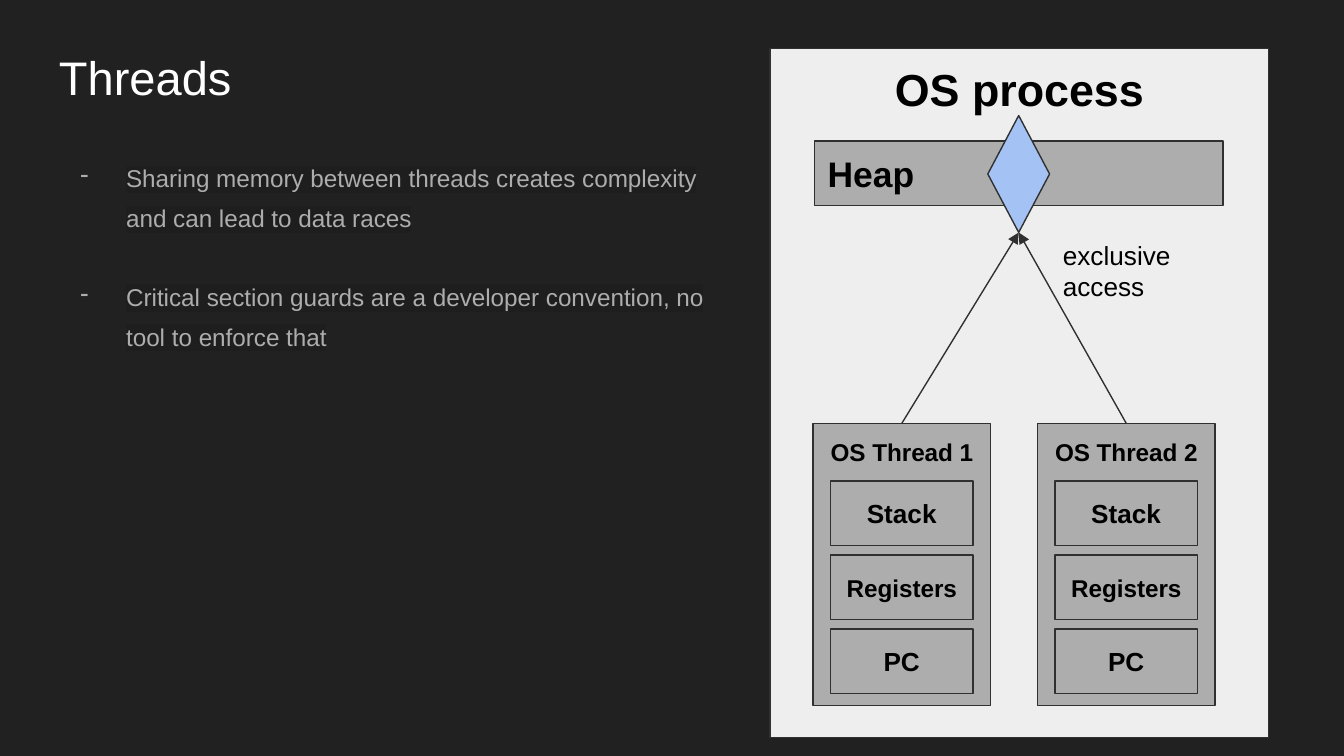
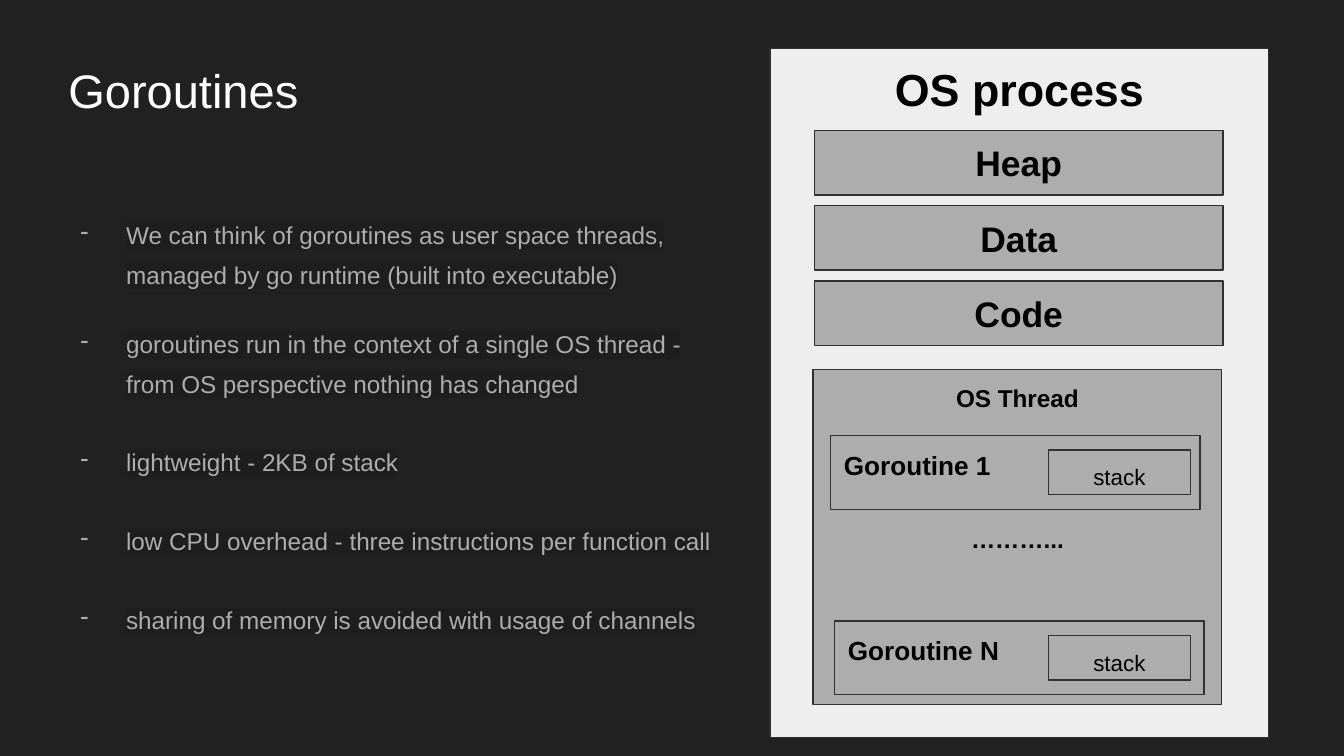
from dataclasses import dataclass

from lxml.etree import SubElement
from pptx import Presentation
from pptx.dml.color import RGBColor
from pptx.enum.shapes import MSO_CONNECTOR, MSO_SHAPE
from pptx.enum.text import MSO_ANCHOR, PP_ALIGN
from pptx.oxml.ns import qn
from pptx.util import Inches, Pt

COLORS = {
    "background": "212121",
    "panel": "EEEEEE",
    "block": "ADADAD",
    "outline": "303030",
    "guard": "A4C2F4",
    "title": "FFFFFF",
    "body": "ADADAD",
    "highlight": "1E1E1E",
    "label": "000000",
}
FONT = "Arial"
SLIDE_WIDTH, SLIDE_HEIGHT = Inches(10), Inches(5.625)
UNIT = SLIDE_WIDTH / 100
LINE_SPACING = 1.36
BULLET_INDENT, BULLET_HANG = Inches(0.5), Inches(0.34)


@dataclass
class Box:
    """A rectangle in grid units, a hundred columns to the slide."""

    left: float
    top: float
    width: float
    height: float

    def within(self, left, top, width, height):
        """Return a box placed relative to this one."""
        return Box(self.left + left, self.top + top, width, height)

    def emu(self):
        """Return the left, top, width and height for python-pptx."""
        return [round(n * UNIT) for n in (self.left, self.top, self.width, self.height)]


PANEL = Box(57.3, 3.6, 37.1, 51.3)


def rgb(name):
    """Look up a colour of the deck."""
    return RGBColor.from_string(COLORS[name])


def style(paragraph, size, color, bold=False):
    """Format every run of a paragraph."""
    for run in paragraph.runs:
        run.font.size = Pt(size)
        run.font.bold = bold
        run.font.color.rgb = rgb(color)
        run.font.name = FONT


def prepare_frame(frame, anchor=MSO_ANCHOR.TOP):
    """Give a text frame the shared insets and wrapping."""
    frame.word_wrap = True
    frame.vertical_anchor = anchor
    frame.margin_left = frame.margin_right = Inches(0.1)
    frame.margin_top = frame.margin_bottom = Inches(0.1)


def add_block(slide, box, text="", size=14, fill="block", align=PP_ALIGN.CENTER,
              anchor=MSO_ANCHOR.TOP, bold=True, kind=MSO_SHAPE.RECTANGLE):
    """Draw an outlined block with its label."""
    block = slide.shapes.add_shape(kind, *box.emu())
    block.shadow.inherit = False
    block.fill.solid()
    block.fill.fore_color.rgb = rgb(fill)
    block.line.color.rgb = rgb("outline")
    block.line.width = Pt(0.75)
    prepare_frame(block.text_frame, anchor)
    block.text_frame.text = text
    for paragraph in block.text_frame.paragraphs:
        paragraph.alignment = align
        style(paragraph, size, "label", bold)
    return block


def add_caption(slide, box, text, size, color):
    """Write a line of plain text."""
    frame = slide.shapes.add_textbox(*box.emu()).text_frame
    prepare_frame(frame)
    frame.text = text
    style(frame.paragraphs[0], size, color)


def add_points(slide, box, points):
    """Write dashed points, each given as its text and the space before it."""
    frame = slide.shapes.add_textbox(*box.emu()).text_frame
    prepare_frame(frame)
    frame.text = "\n".join(text for text, _ in points)
    for paragraph, (_, gap) in zip(frame.paragraphs, points):
        paragraph.line_spacing = LINE_SPACING
        paragraph.space_before = Pt(gap)
        style(paragraph, 13, "body")
        properties = paragraph._p.get_or_add_pPr()
        properties.set("marL", str(BULLET_INDENT))
        properties.set("indent", str(-BULLET_HANG))
        bullet_color = SubElement(properties, qn("a:buClr"))
        SubElement(bullet_color, qn("a:srgbClr"), val=COLORS["body"])
        SubElement(properties, qn("a:buChar"), char="-")
        for run in paragraph.runs:
            highlight = run._r.get_or_add_rPr().makeelement(qn("a:highlight"))
            SubElement(highlight, qn("a:srgbClr"), val=COLORS["highlight"])
            run._r.rPr.find(qn("a:solidFill")).addnext(highlight)


def add_arrow(slide, thread, guard):
    """Point an arrow from the top of a thread to the foot of the guard."""
    arrow = slide.shapes.add_connector(MSO_CONNECTOR.STRAIGHT, 0, 0, 0, 0)
    arrow.begin_connect(thread, 0)
    arrow.end_connect(guard, 2)
    arrow.line.color.rgb = rgb("outline")
    arrow.line.width = Pt(0.75)
    SubElement(arrow.line._get_or_add_ln(), qn("a:tailEnd"), type="triangle")
    SubElement(arrow._element.spPr, qn("a:effectLst"))


def add_thread(slide, box, title):
    """Draw a thread with its stack, registers and program counter."""
    thread = add_block(slide, box, title, 13)
    for row, (text, size) in enumerate([("Stack", 14), ("Registers", 13), ("PC", 14)]):
        add_block(slide, box.within(1.3, 4.3 + 5.5 * row, 10.6, 4.8), text, size,
                  anchor=MSO_ANCHOR.MIDDLE)
    return thread


def add_goroutine(slide, box, title, stack_left):
    """Draw a goroutine with its own stack."""
    add_block(slide, box, title, align=PP_ALIGN.LEFT)
    add_block(slide, box.within(stack_left, 1.1, 10.6, 3.3), "stack", 12, bold=False)


def add_shared_memory(slide, box):
    """Fill the process panel with two threads reaching for the same memory."""
    add_block(slide, box.within(3.3, 6.9, 30.4, 4.8), "Heap", 19,
              align=PP_ALIGN.LEFT, anchor=MSO_ANCHOR.MIDDLE)
    threads = [add_thread(slide, box.within(3.2 + 16.7 * i, 27.9, 13.2, 21), f"OS Thread {i + 1}")
               for i in range(2)]
    guard = add_block(slide, box.within(16.2, 5, 4.6, 8.7), fill="guard", kind=MSO_SHAPE.DIAMOND)
    for thread in threads:
        add_arrow(slide, thread, guard)
    add_caption(slide, box.within(20.8, 13.2, 10.1, 6.7), "exclusive access", 14, "label")


def add_goroutine_memory(slide, box):
    """Fill the process panel with memory areas and one thread of goroutines."""
    for row, text in enumerate(["Heap", "Data", "Code"]):
        add_block(slide, box.within(3.3, 6.1 + 5.6 * row, 30.4, 4.8), text, 19,
                  anchor=MSO_ANCHOR.MIDDLE)
    thread_box = box.within(3.2, 23.9, 30.4, 24.9)
    thread = add_block(slide, thread_box, "OS Thread\n………...", 13)
    thread.text_frame.paragraphs[1].space_before = Pt(60)
    add_goroutine(slide, thread_box.within(1.3, 4.9, 27.5, 5.5), "Goroutine 1", 16.2)
    add_goroutine(slide, thread_box.within(1.6, 18.7, 27.5, 5.5), "Goroutine N", 15.9)


def add_process_slide(deck, title, title_box, points, points_box, add_content):
    """Add a slide with points on the left and an OS process on the right."""
    slide = deck.slides.add_slide(deck.slide_layouts[6])
    slide.background.fill.solid()
    slide.background.fill.fore_color.rgb = rgb("background")
    add_block(slide, PANEL, "OS process", 24, fill="panel")
    add_caption(slide, title_box, title, 25.2, "title")
    add_points(slide, points_box, points)
    add_content(slide, PANEL)


def main():
    """Build and save the deck."""
    deck = Presentation()
    deck.slide_width, deck.slide_height = SLIDE_WIDTH, SLIDE_HEIGHT
    add_process_slide(
        deck, "Threads", Box(3.4, 2.6, 93.2, 6.3),
        [("Sharing memory between threads creates complexity and can lead to data races", 0),
         ("Critical section guards are a developer convention, no tool to enforce that", 21)],
        Box(3.4, 10.4, 52.3, 37.9), add_shared_memory)
    add_process_slide(
        deck, "Goroutines", Box(4.1, 3.6, 93.2, 6.3),
        [("We can think of goroutines as user space threads, "
          "managed by go runtime (built into executable)", 0),
         ("goroutines run in the context of a single OS thread - "
          "from OS perspective nothing has changed", 16),
         ("lightweight - 2KB of stack", 21),
         ("low CPU overhead - three instructions per function call", 21),
         ("sharing of memory is avoided with usage of channels", 21)],
        Box(3.4, 14.6, 51.8, 37.9), add_goroutine_memory)
    deck.save("out.pptx")


if __name__ == "__main__":
    main()
